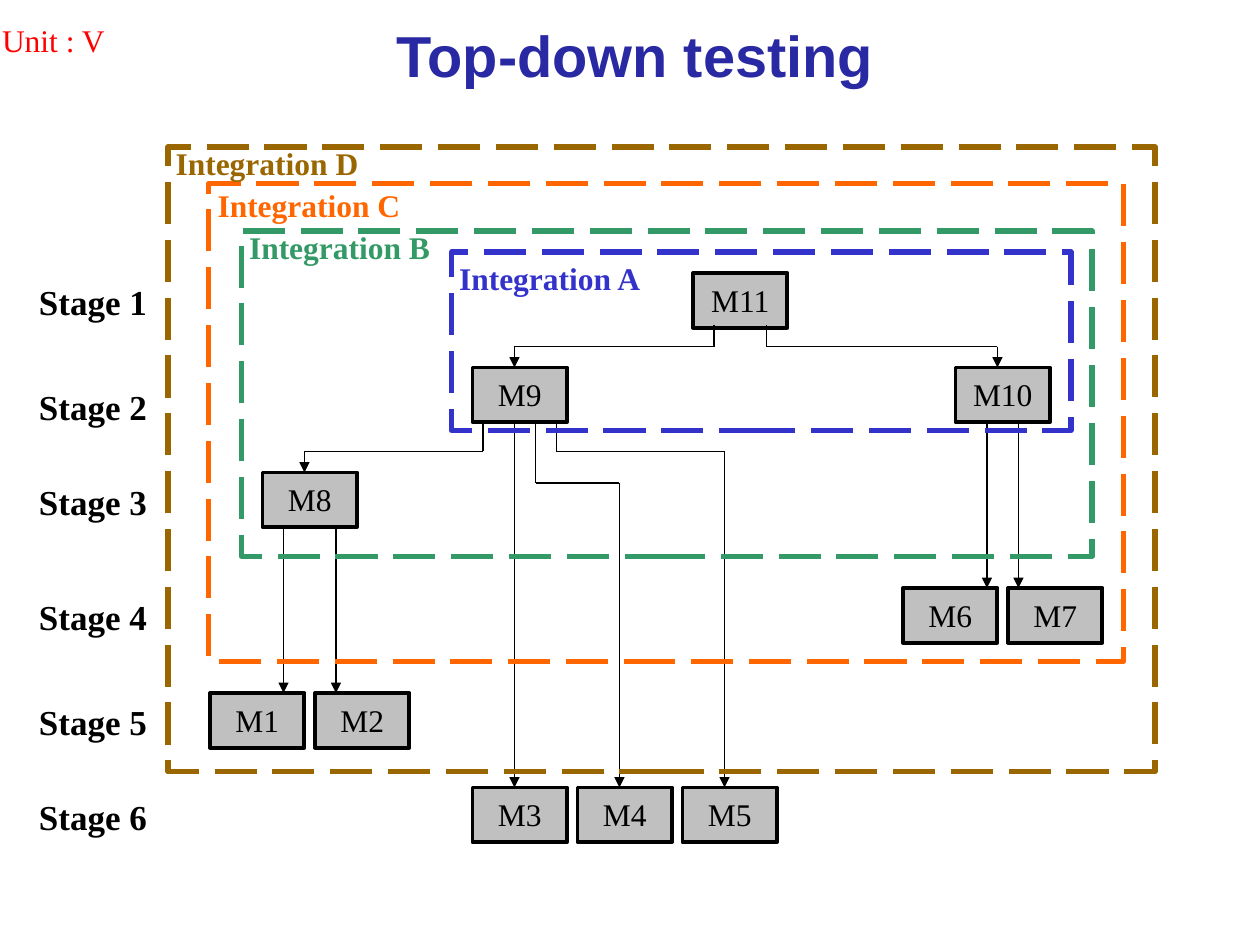
from itertools import pairwise
from lxml.etree import SubElement
from pptx import Presentation
from pptx.dml.color import RGBColor
from pptx.enum.dml import MSO_LINE
from pptx.enum.shapes import MSO_CONNECTOR, MSO_SHAPE
from pptx.enum.text import MSO_ANCHOR, PP_ALIGN
from pptx.oxml.ns import qn
from pptx.util import Inches, Pt

deck = Presentation()
deck.slide_width, deck.slide_height = Inches(10), Inches(7.5)
slide = deck.slides.add_slide(deck.slide_layouts[6])
cell = deck.slide_width / 120
wide, high = 9, 5.2
serif = "Times New Roman"


def paint(tone):
    return RGBColor.from_string(tone)


def write(shape, words, size, tone, bold=False, font=serif, align=PP_ALIGN.LEFT,
          anchor=MSO_ANCHOR.TOP, pads=(0.06, 0.06, 0.06, 0.06)):
    frame = shape.text_frame
    frame.word_wrap = True
    frame.vertical_anchor = anchor
    frame.margin_left, frame.margin_top, frame.margin_right, frame.margin_bottom = map(Inches, pads)
    para = frame.paragraphs[0]
    para.alignment = align
    run = para.add_run()
    run.text = words
    run.font.name, run.font.size, run.font.bold = font, Pt(size), bold
    run.font.color.rgb = paint(tone)


stages = [26, 36, 45, 56, 66, 75]
units = [
    ("M9", 45, 35), ("M8", 25, 45), ("M1", 20, 66), ("M2", 30, 66),
    ("M3", 45, 75), ("M4", 55, 75), ("M5", 65, 75), ("M6", 86, 56),
    ("M7", 96, 56), ("M10", 91, 35), ("M11", 66, 26),
]
for name, col, row in units:
    box = slide.shapes.add_shape(
        MSO_SHAPE.RECTANGLE, *[round(n * cell) for n in (col, row, wide, high)])
    box.shadow.inherit = False
    box.fill.solid()
    box.fill.fore_color.rgb = paint("C0C0C0")
    box.line.color.rgb = paint("000000")
    box.line.width = Pt(2.25)
    write(box, name, 18, "000000", align=PP_ALIGN.CENTER)

routes = [
    [(97, 40), (97, 56)],
    [(94, 40), (94, 56)],
    [(27, 50), (27, 66)],
    [(32, 50), (32, 66)],
    [(49, 40), (49, 75)],
    [(46, 40), (46, 43), (29, 43), (29, 45)],
    [(51, 40), (51, 46), (59, 46), (59, 75)],
    [(53, 40), (53, 43), (69, 43), (69, 75)],
    [(68, 31), (68, 33), (49, 33), (49, 35)],
    [(73, 31), (73, 33), (95, 33), (95, 35)],
]
for route in routes:
    for start, end in pairwise(route):
        link = slide.shapes.add_connector(
            MSO_CONNECTOR.STRAIGHT, *[round(n * cell) for n in start + end])
        link.line.color.rgb = paint("000000")
        link.line.width = Pt(0.75)
        if end == route[-1]:
            SubElement(link.line._get_or_add_ln(), qn("a:tailEnd"), type="triangle")
        SubElement(link._element.spPr, qn("a:effectLst"))

scopes = [
    ("C", "FF6600", (19.85, 17.5, 87.15, 45.5), (20, 17, 20)),
    ("A", "3333CC", (43, 24, 59, 17), (43, 24, 21)),
    ("B", "339966", (23, 22, 81, 31), (23, 21, 21)),
    ("D", "996600", (16, 14, 94, 59.5), (16, 13, 20)),
]
for name, tone, area, spot in scopes:
    scope = slide.shapes.add_shape(MSO_SHAPE.RECTANGLE, *[round(n * cell) for n in area])
    scope.shadow.inherit = False
    scope.fill.background()
    scope.line.color.rgb = paint(tone)
    scope.line.width = Pt(3)
    scope.line.dash_style = MSO_LINE.LONG_DASH
    label = slide.shapes.add_textbox(*[round(n * cell) for n in spot + (4.8,)])
    write(label, f"Integration {name}", 18, tone, bold=True)

for step, row in enumerate(stages, 1):
    label = slide.shapes.add_textbox(*[round(n * cell) for n in (3, row, 13, high)])
    write(label, f"Stage {step}", 20, "000000", bold=True)

title = slide.shapes.add_textbox(*[round(n * cell) for n in (31.4, 1.8, 58.2, 6.7)])
write(title, "Top-down testing", 33, "2929A3", bold=True, font="Arial",
      align=PP_ALIGN.CENTER, anchor=MSO_ANCHOR.MIDDLE, pads=(0, 0, 0, 0))
note = slide.shapes.add_textbox(*[round(n * cell) for n in (0.2, 0.7, 18.7, 4.9)])
write(note, "Unit : V", 18, "FF0000", anchor=MSO_ANCHOR.BOTTOM, pads=(0, 0.05, 0, 0))

deck.save("out.pptx")
